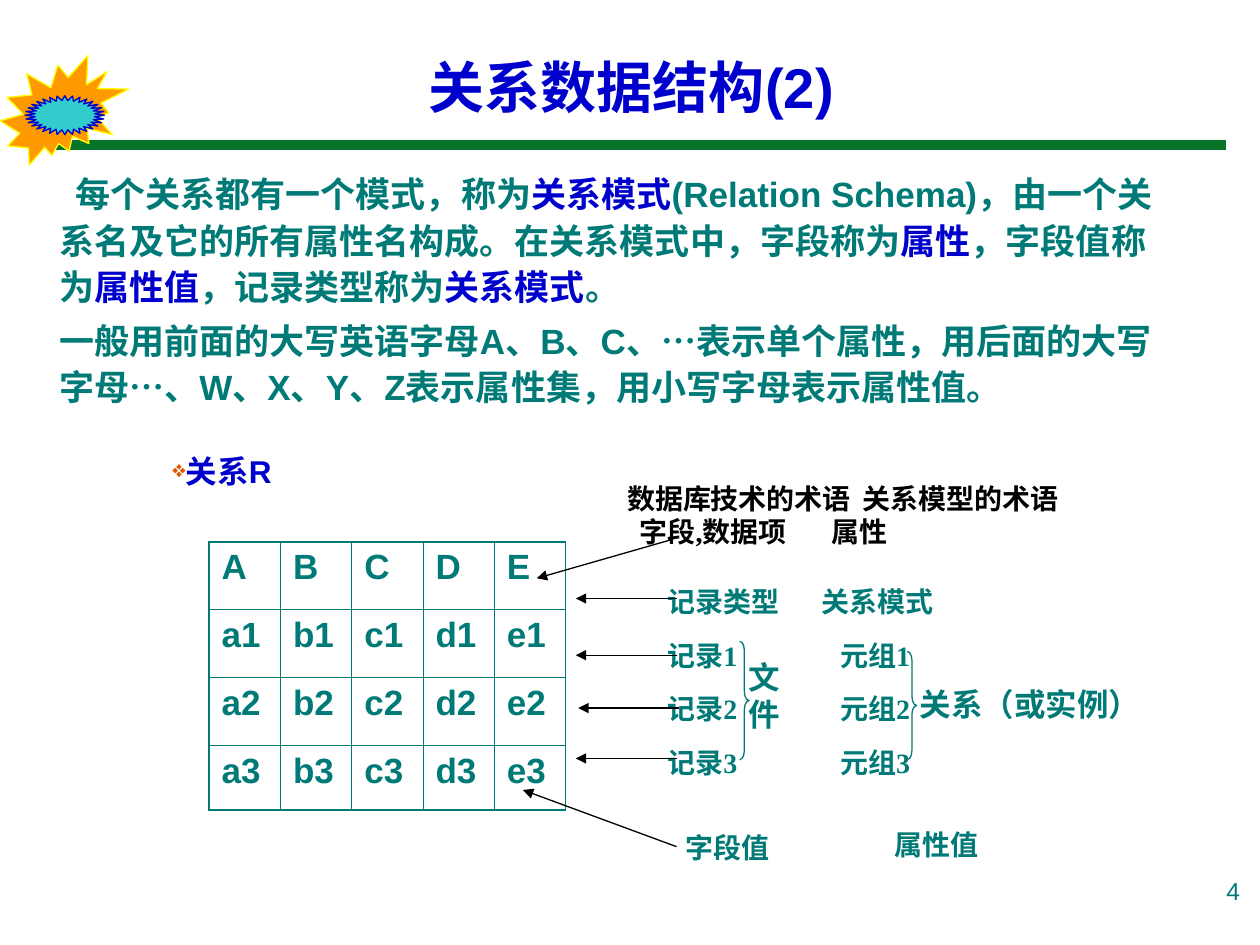
import lxml.etree
import pptx
import pptx.dml.color
import pptx.enum.shapes
import pptx.enum.text
import pptx.oxml.ns
import pptx.util

RGBColor = pptx.dml.color.RGBColor
TEAL = RGBColor(0x00, 0x7A, 0x77)
BLUE = RGBColor(0x00, 0x00, 0xCC)
GREEN = RGBColor(0x06, 0x74, 0x28)
ORANGE = RGBColor(0xFF, 0x99, 0x00)
YELLOW = RGBColor(0xFF, 0xFF, 0x00)
TURQUOISE = RGBColor(0x33, 0xCC, 0xCC)
RUST = RGBColor(0xDC, 0x59, 0x00)
BLACK = RGBColor(0x00, 0x00, 0x00)
SANS, SERIF = "Arial", "Times New Roman"

SHAPE = pptx.enum.shapes.MSO_SHAPE
ALIGN = pptx.enum.text.PP_ALIGN
ANCHOR = pptx.enum.text.MSO_ANCHOR
COLUMNS, ROWS = 100, 75


def add_element(parent, tag, **attributes):
    element = lxml.etree.SubElement(parent, pptx.oxml.ns.qn(tag))
    for name, value in attributes.items():
        element.set(name, str(value))
    return element


class SlideBuilder:
    """Places elements on a grid of 100 columns by 75 rows."""

    def __init__(self, presentation):
        self.column = presentation.slide_width / COLUMNS
        self.row = presentation.slide_height / ROWS
        self.slide = presentation.slides.add_slide(presentation.slide_layouts[6])
        self.shapes = self.slide.shapes

    def across(self, columns):
        return pptx.util.Emu(round(columns * self.column))

    def down(self, rows):
        return pptx.util.Emu(round(rows * self.row))

    def box(self, left, top, width, height):
        return self.across(left), self.down(top), self.across(width), self.down(height)

    def add_runs(self, paragraph, text, size, font=SANS, color=TEAL, bold=True):
        """Add text whose parts between bars are set in blue."""
        for index, part in enumerate(text.split("|")):
            run = paragraph.add_run()
            run.text = part
            run.font.name, run.font.size, run.font.bold = font, pptx.util.Pt(size), bold
            run.font.color.rgb = BLUE if index % 2 else color

    def text(self, place, lines, size, align=ALIGN.LEFT, anchor=ANCHOR.TOP,
             side_inset=1, top_inset=0.5, spacing=None, tabs=(), **style):
        """Add a text box; tabs holds the tab stops of each line, in columns."""
        frame = self.shapes.add_textbox(*self.box(*place)).text_frame
        frame.word_wrap = True
        frame.vertical_anchor = anchor
        frame.margin_left = frame.margin_right = self.across(side_inset)
        frame.margin_top = frame.margin_bottom = self.down(top_inset)
        for index, line in enumerate(lines):
            paragraph = frame.add_paragraph() if index else frame.paragraphs[0]
            paragraph.alignment = align
            if spacing:
                paragraph.line_spacing = spacing
            if tabs:
                stops = add_element(paragraph._p.get_or_add_pPr(), "a:tabLst")
                for stop in tabs[index]:
                    add_element(stops, "a:tab", pos=self.across(stop), algn="l")
            self.add_runs(paragraph, line, size, **style)
        return frame

    def bullet(self, frame, text, size, indent, gap):
        paragraph = frame.add_paragraph()
        properties = paragraph._p.get_or_add_pPr()
        properties.set("marL", str(self.across(indent)))
        properties.set("indent", "0")
        add_element(add_element(properties, "a:buClr"), "a:srgbClr", val=RUST)
        add_element(properties, "a:buSzPct", val=75000)
        add_element(properties, "a:buChar", char="❖")
        paragraph.line_spacing = 0.9
        paragraph.space_before = pptx.util.Pt(gap)
        self.add_runs(paragraph, text, size, color=BLUE)

    def shape(self, kind, place, line, fill=None):
        shape = self.shapes.add_shape(kind, *self.box(*place))
        shape.shadow.inherit = False
        if fill is None:
            shape.fill.background()
        else:
            shape.fill.solid()
            shape.fill.fore_color.rgb = fill
        shape.line.color.rgb = line
        shape.line.width = pptx.util.Pt(0.75)
        return shape

    def brace(self, place):
        brace = self.shape(SHAPE.RIGHT_BRACE, place, TEAL)
        brace.adjustments[0] = 0.95

    def line(self, start, end, color=BLACK, width=0.75, arrow=True):
        """Draw a line, with its arrowhead at the start."""
        connector = self.shapes.add_connector(
            pptx.enum.shapes.MSO_CONNECTOR.STRAIGHT,
            self.across(start[0]), self.down(start[1]),
            self.across(end[0]), self.down(end[1]))
        connector.line.color.rgb = color
        connector.line.width = pptx.util.Pt(width)
        properties = connector._element.spPr
        if arrow:
            outline = properties.find(pptx.oxml.ns.qn("a:ln"))
            add_element(outline, "a:headEnd", type="triangle")
        add_element(properties, "a:effectLst")

    def borders(self, cell, outer_sides):
        properties = cell._tc.get_or_add_tcPr()
        for side in "LRTB":
            width = pptx.util.Pt(1.08 if side in outer_sides else 0.45)
            border = add_element(properties, "a:ln" + side, w=width)
            add_element(add_element(border, "a:solidFill"), "a:srgbClr", val=TEAL)

    def table(self, place, values, row_heights, size):
        last_row, last_column = len(values) - 1, len(values[0]) - 1
        table = self.shapes.add_table(
            last_row + 1, last_column + 1, *self.box(*place)).table
        table.first_row = table.horz_banding = False
        for r, row_values in enumerate(values):
            table.rows[r].height = self.down(row_heights[r])
            for c, value in enumerate(row_values):
                cell = table.cell(r, c)
                edges = {"T": r == 0, "B": r == last_row,
                         "L": c == 0, "R": c == last_column}
                self.borders(cell, [side for side, outer in edges.items() if outer])
                cell.fill.background()
                self.add_runs(cell.text_frame.paragraphs[0], value, size)


def build_header(builder):
    builder.line((4.3, 11.5), (97.3, 11.5), GREEN, 6, arrow=False)
    builder.shape(SHAPE.EXPLOSION2, (0, 4.4, 10.2, 8.7), YELLOW, ORANGE)
    builder.shape(SHAPE.STAR_32_POINT, (2, 7.6, 6.3, 3.1), BLUE, TURQUOISE)
    builder.text((74.4, 69, 25, 5.2), ["4"], 14, ALIGN.RIGHT, bold=False)
    builder.text((3.4, 1.3, 93.4, 11), ["关系数据结构(2)"], 32, ALIGN.CENTER,
                 ANCHOR.MIDDLE, color=BLUE)


def build_body(builder):
    frame = builder.text((3.7, 12.9, 90.8, 47.2), [
        "每个关系都有一个模式，称为|关系模式|(Relation Schema)，由一个关系名及它的"
        "所有属性名构成。在关系模式中，字段称为|属性|，字段值称为|属性值|，"
        "记录类型称为|关系模式|。",
        "一般用前面的大写英语字母A、B、C、…表示单个属性，用后面的大写字母"
        "…、W、X、Y、Z表示属性集，用小写字母表示属性值。",
    ], 20, spacing=1.1)
    first, second = frame.paragraphs
    first._p.get_or_add_pPr().set("indent", str(builder.across(1.3)))
    second.space_before = pptx.util.Pt(4.5)
    builder.bullet(frame, "关系R", 18, indent=9, gap=28)


def build_relation(builder):
    letters = "ABCDE"
    values = [list(letters)]
    values += [[f"{letter.lower()}{n}" for letter in letters] for n in (1, 2, 3)]
    builder.table((16.6, 43, 28.3, 21.2), values, (5.4, 5.4, 5.4, 5.1), 20)


def build_terms(builder):
    builder.text((48.8, 37.7, 53.5, 7.9),
                 ["数据库技术的术语\t关系模型的术语", "\t字段,数据项\t属性"], 16,
                 tabs=[(18.7,), (1, 16.2)], font=SERIF, color=BLACK)
    records = [f"记录{n}\t元组{n}" for n in (1, 2, 3)]
    builder.text((52, 44.3, 43.5, 23.5), ["记录类型\t关系模式"] + records, 16,
                 spacing=1.6, tabs=[(12.2,)] + [(13.7,)] * 3, font=SERIF)
    for left, top, label in ((54.4, 65.9, "字段值"), (71, 65.7, "属性值")):
        builder.text((left, top, 7.3, 5.2), [label], 16,
                     side_inset=0, top_inset=0, font=SERIF)

    for left, y in ((45.7, 47.5), (45.7, 52), (45.7, 60.2), (45.9, 56.2)):
        builder.line((left, y), (left + 8, y))
    builder.line((41.5, 62.7), (53.7, 67.2))
    builder.line((42.6, 45.9), (53.4, 42.8))

    builder.brace((58.7, 50.9, 0.75, 9.4))
    builder.text((59.4, 51.7, 3.1, 7), ["文件"], 18, side_inset=0)
    builder.brace((72, 51.7, 0.75, 8.6))
    builder.text((72, 53.9, 22.8, 4), ["关系（或实例）"], 18)


def main():
    presentation = pptx.Presentation()
    presentation.slide_width = pptx.util.Inches(10)
    presentation.slide_height = pptx.util.Inches(7.5)
    builder = SlideBuilder(presentation)
    build_header(builder)
    build_body(builder)
    build_relation(builder)
    build_terms(builder)
    presentation.save("out.pptx")


if __name__ == "__main__":
    main()
